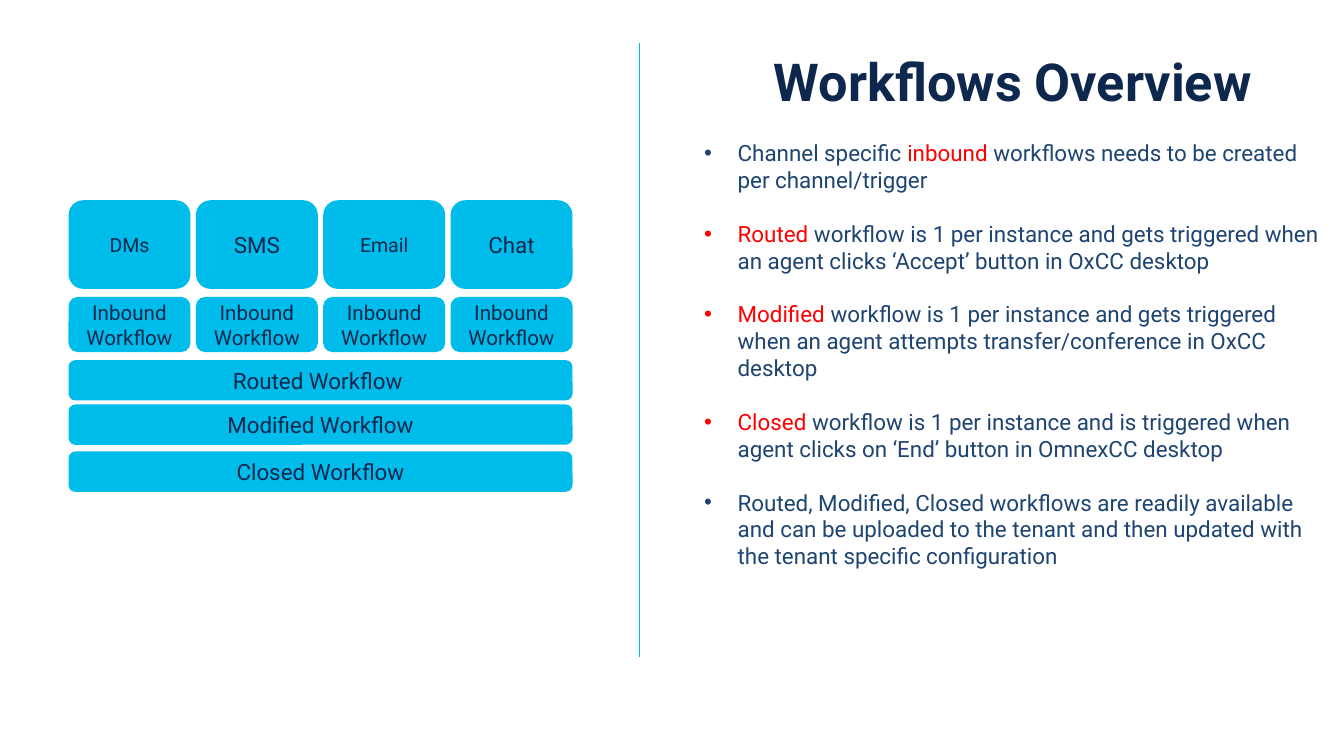
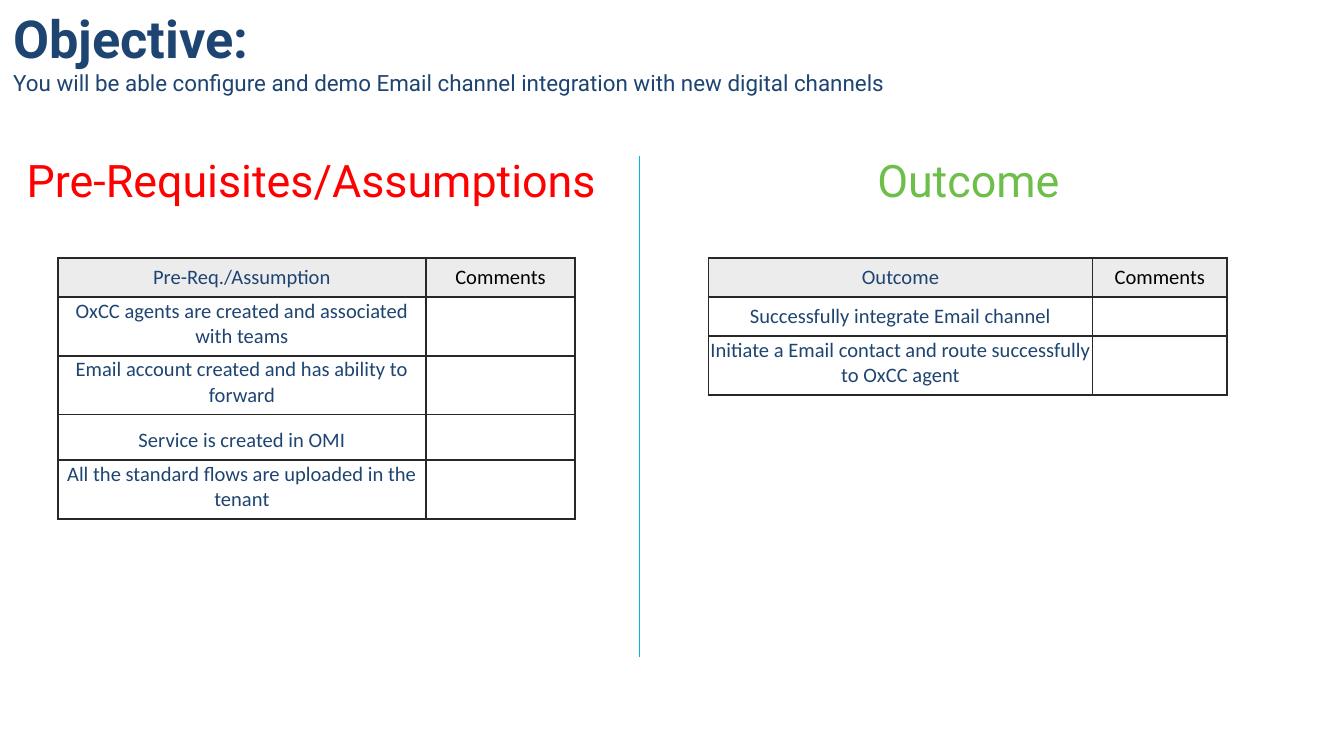
from lxml import etree
from pptx import Presentation
from pptx import util as u
from pptx.dml.color import RGBColor
from pptx.enum import shapes, text
from pptx.oxml.ns import qn

HUES = {"navy": "0D274D", "blue": "1E4471", "cyan": "00BCEB", "rule": "00B8E6",
        "red": "FF0000", "green": "6EBE4A", "black": "000000",
        "edge": "282828", "head": "ECECEC", "white": "FFFFFF"}
FONT, GRID_FONT = "Roboto", "Calibri"
WIDE = 10
HIGH = WIDE * 9 / 16
MID, FOOT = 4.76, 4.89  # divider: x and lower end
LEFT, CENTER = text.PP_ALIGN.LEFT, text.PP_ALIGN.CENTER

# Slide 1: channels as (name, size), shared flows as (name, top)
CHANNELS = [("DMs", 10.5), ("SMS", 12), ("Email", 10.5), ("Chat", 12)]
FLOWS = [("Routed Workflow ", 2.68), ("Modified Workflow", 3.01),
         ("Closed Workflow", 3.36)]
STACK_X, STACK_W, GAP = 0.51, 3.75, 0.04
POINTS = [
    [("Channel specific ", "blue"), ("inbound", "red"),
     (" workflows needs to be created per channel/trigger", "blue")],
    [("Routed", "red"),
     (" workflow is 1 per instance and gets triggered when an agent clicks "
      "‘Accept’ button in OxCC desktop", "blue")],
    [("Modified ", "red"),
     ("workflow is 1 per instance and gets triggered when an agent attempts "
      "transfer/conference in OxCC desktop", "blue")],
    [("Closed ", "red"),
     ("workflow is 1 per instance and is triggered when agent clicks on "
      "‘End’ button in OmnexCC desktop", "blue")],
    [("Routed, Modified, Closed workflows are readily available and can be "
      "uploaded to the tenant and then updated with the tenant specific "
      "configuration", "blue")],
]

# Slide 2
GOAL = ("You will be able configure and demo Email channel integration "
        "with new digital channels")
HEADS = [("Pre-Requisites/Assumptions", "red", 0.1, 4.63, LEFT),
         ("Outcome", "green", 6.15, 2.11, CENTER)]
GRIDS = [
    {"x": 0.43, "cols": (2.74, 1.11), "rows": [
        ("Pre-Req./Assumption", 0.29),
        ("OxCC agents are created and associated with teams", 0.29),
        ("Email account created and has ability to forward", 0.34),
        ("Service is created in OMI", 0.34),
        ("All the standard flows are uploaded in the tenant", 0.31)]},
    {"x": 5.27, "cols": (2.86, 1), "rows": [
        ("Outcome", 0.29),
        ("Successfully integrate Email channel", 0.29),
        ("Initiate a Email contact and route successfully to OxCC agent", 0.29)]},
]


def rgb(hue):
    return RGBColor.from_string(HUES[hue])


def add_run(para, words, size, hue, bold=False, font=FONT):
    run = para.add_run()
    run.text = words
    run.font.name, run.font.size, run.font.bold = font, u.Pt(size), bold
    run.font.color.rgb = rgb(hue)


def add_text(slide, x, y, w, h):
    frame = slide.shapes.add_textbox(*map(u.Inches, (x, y, w, h))).text_frame
    frame.word_wrap = True
    frame.auto_size = text.MSO_AUTO_SIZE.SHAPE_TO_FIT_TEXT
    return frame


def add_box(slide, words, size, x, y, w, h):
    box = slide.shapes.add_shape(shapes.MSO_SHAPE.ROUNDED_RECTANGLE,
                                 *map(u.Inches, (x, y, w, h)))
    box.shadow.inherit = False
    box.fill.solid()
    box.fill.fore_color.rgb = rgb("cyan")
    box.line.fill.background()
    frame = box.text_frame
    frame.word_wrap = True
    frame.vertical_anchor = text.MSO_ANCHOR.MIDDLE
    para = frame.paragraphs[0]
    para.alignment = CENTER
    add_run(para, words, size, "navy")


def add_rule(slide, top):
    rule = slide.shapes.add_connector(shapes.MSO_CONNECTOR.STRAIGHT,
                                      *map(u.Inches, (MID, top, MID, FOOT)))
    rule._element.remove(rule._element.find(qn("p:style")))
    rule.line.width = u.Pt(0.75)
    rule.line.fill.solid()
    rule.line.fill.fore_color.rgb = rgb("rule")
    etree.SubElement(rule._element.spPr, qn("a:effectLst"))


def add_bullet(para):
    props = para._p.get_or_add_pPr()
    props.set("marL", str(u.Inches(0.25)))
    props.set("indent", str(-u.Inches(0.25)))
    etree.SubElement(props, qn("a:buFont"), typeface="Arial")
    etree.SubElement(props, qn("a:buChar"), char="•")


def add_edges(cell):
    """Draw the four borders, which must precede the fill in the cell."""
    props = cell._tc.get_or_add_tcPr()
    for spot, side in enumerate("LRTB"):
        edge = etree.Element(qn(f"a:ln{side}"), w=str(u.Pt(1)))
        fill = etree.SubElement(edge, qn("a:solidFill"))
        etree.SubElement(fill, qn("a:srgbClr"), val=HUES["edge"])
        props.insert(spot, edge)


def fill_cell(cell, words, ink, back):
    cell.fill.solid()
    cell.fill.fore_color.rgb = rgb(back)
    shade = cell._tc.tcPr.find(".//" + qn("a:srgbClr"))
    etree.SubElement(shade, qn("a:alpha"), val="98000")
    add_edges(cell)
    cell.margin_left = cell.margin_right = cell.margin_top = u.Inches(0.01)
    cell.margin_bottom = u.Inches(0.05)
    cell.vertical_anchor = text.MSO_ANCHOR.BOTTOM
    para = cell.text_frame.paragraphs[0]
    para.alignment = CENTER
    if words:
        add_run(para, words, 11, ink, font=GRID_FONT)
    else:
        etree.SubElement(para._p, qn("a:endParaRPr"), sz="1100")


def add_grid(slide, x, cols, rows):
    size = (x, 1.92, sum(cols), sum(tall for _, tall in rows))
    grid = slide.shapes.add_table(len(rows), len(cols),
                                  *map(u.Inches, size)).table
    grid.first_row = grid.horz_banding = False
    for col, wide in zip(grid.columns, cols):
        col.width = u.Inches(wide)
    for i, (words, tall) in enumerate(rows):
        grid.rows[i].height = u.Inches(tall)
        back = "white" if i else "head"
        fill_cell(grid.cell(i, 0), words, "blue", back)
        fill_cell(grid.cell(i, 1), "" if i else "Comments", "black", back)


def draw_flows(slide):
    count = len(CHANNELS)
    wide = (STACK_W - GAP * (count - 1)) / count
    for i, (name, size) in enumerate(CHANNELS):
        x = STACK_X + i * (wide + GAP)
        add_box(slide, name, size, x, 1.49, wide, 0.66)
        add_box(slide, "Inbound Workflow", 11, x, 2.21, wide, 0.41)
    for name, top in FLOWS:
        add_box(slide, name, 12, STACK_X, top, STACK_W, 0.3)
    add_rule(slide, 0.32)

    frame = add_text(slide, 5.14, 0.32, 4.79, HIGH - 0.32)
    title = frame.paragraphs[0]
    title.alignment = CENTER
    add_run(title, "Workflows Overview", 28, "navy", True)
    for point in POINTS:
        para = frame.add_paragraph()
        para.space_before = u.Pt(14.4)
        add_bullet(para)
        for words, hue in point:
            add_run(para, words, 12, hue)


def draw_goal(slide):
    for grid in GRIDS:
        add_grid(slide, **grid)
    add_rule(slide, 1.16)
    for words, hue, x, wide, side in HEADS:
        para = add_text(slide, x, 1.09, wide, 0.5).paragraphs[0]
        para.alignment = side
        add_run(para, words, 24, hue)
    frame = add_text(slide, 0, 0, 9.47, 0.77)
    add_run(frame.paragraphs[0], "Objective:", 28, "blue", True)
    add_run(frame.add_paragraph(), GOAL, 12, "blue")


def main():
    deck = Presentation()
    deck.slide_width, deck.slide_height = u.Inches(WIDE), u.Inches(HIGH)
    for draw in (draw_flows, draw_goal):
        draw(deck.slides.add_slide(deck.slide_layouts[6]))
    deck.save("out.pptx")


if __name__ == "__main__":
    main()
